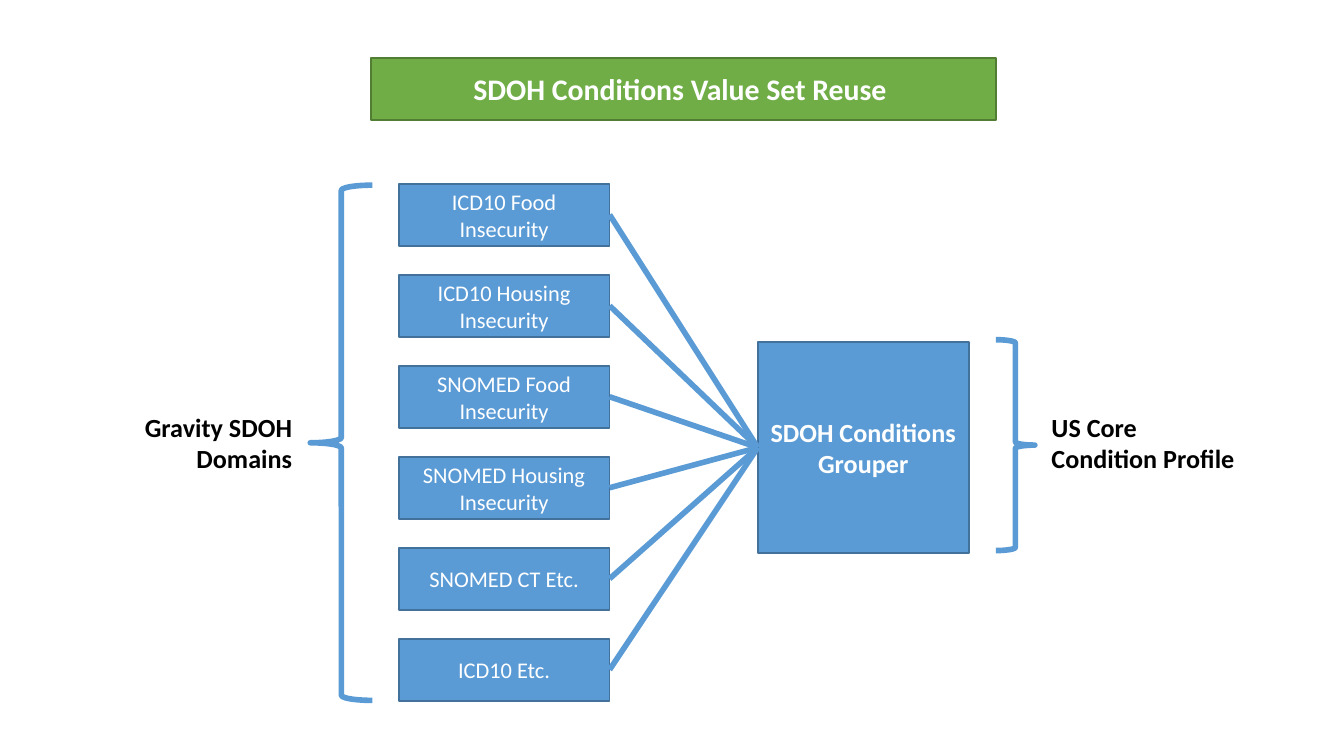
from pptx import Presentation
from pptx.dml.color import RGBColor
from pptx.enum import shapes, text
from pptx.oxml import xmlchemy
from pptx.util import Pt

BLUE, EDGE, GREEN, MOSS = "5B9BD5", "42719B", "70AD47", "517E33"
WHITE, BLACK = "FFFFFF", "000000"
KIND = shapes.MSO_SHAPE
ALIGN = text.PP_ALIGN


def tint(value):
    return RGBColor.from_string(value)


class Board:
    """Holds the shared style and the slide being drawn."""
    font = "Calibri"
    frame = {
        "word_wrap": True,
        "auto_size": text.MSO_AUTO_SIZE.NONE,
        "vertical_anchor": text.MSO_ANCHOR.MIDDLE,
        "margin_left": Pt(5.3), "margin_right": Pt(5.3),
        "margin_top": Pt(2.65), "margin_bottom": Pt(2.65),
    }

    def __init__(self, slide):
        self.slide = slide

    def letter(self, shape, words, size, color=WHITE, bold=False,
               align=ALIGN.CENTER):
        for name, value in self.frame.items():
            setattr(shape.text_frame, name, value)
        para = shape.text_frame.paragraphs[0]
        para.alignment = align
        run = para.add_run()
        run.text = words
        look = {"name": self.font, "size": Pt(size), "bold": bold}
        for name, value in look.items():
            setattr(run.font, name, value)
        run.font.color.rgb = tint(color)

    def paint(self, shape, fill, edge):
        shape.fill.solid()
        shape.fill.fore_color.rgb = tint(fill)
        self.stroke(shape, edge, 1)

    def stroke(self, shape, color, width):
        shape.line.color.rgb = tint(color)
        shape.line.width = Pt(width)

    def title(self, words, *area):
        head = self.slide.shapes.title
        for name, value in zip(("left", "top", "width", "height"), area):
            setattr(head, name, Pt(value))
        self.paint(head, GREEN, MOSS)
        self.letter(head, words, 16, bold=True)

    def shape(self, kind, *area):
        item = self.slide.shapes.add_shape(kind, *map(Pt, area))
        item.shadow.inherit = False
        return item

    def box(self, words, size, *area, bold=False):
        item = self.shape(KIND.RECTANGLE, *area)
        self.paint(item, BLUE, EDGE)
        self.letter(item, words, size, bold=bold)
        return item

    def link(self, start, end):
        """Join the right side of start to the left side of end."""
        line = self.slide.shapes.add_connector(
            shapes.MSO_CONNECTOR.STRAIGHT, 0, 0, 0, 0)
        line.begin_connect(start, 3)
        line.end_connect(end, 1)
        self.stroke(line, BLUE, 3)
        props = line._element.spPr
        props.append(xmlchemy.OxmlElement("a:effectLst"))

    def brace(self, kind, *area):
        item = self.shape(kind, *area)
        item.fill.background()
        self.stroke(item, BLUE, 3)

    def label(self, words, align, *area):
        item = self.slide.shapes.add_textbox(*map(Pt, area))
        self.letter(item, words, 14, BLACK, True, align)


def main():
    deck = Presentation()
    deck.slide_width, deck.slide_height = Pt(720), Pt(405)
    board = Board(deck.slides.add_slide(deck.slide_layouts[5]))

    wide, high = 113, 33.3
    left, top, step = 213.6, 98.4, 48.75
    board.title("SDOH Conditions Value Set Reuse ", 198.7, 31, 335, high)

    group = board.box("SDOH Conditions Grouper", 14,
                      406, 183.3, wide, wide, bold=True)
    sets = ("ICD10 Food Insecurity", "ICD10 Housing Insecurity",
            "SNOMED Food Insecurity", "SNOMED Housing Insecurity",
            "SNOMED CT Etc.", "ICD10 Etc.")
    for row, words in enumerate(sets):
        item = board.box(words, 12, left, top + row * step, wide, high)
        board.link(item, group)

    board.brace(KIND.LEFT_BRACE, 166.2, 99.2, 33.3, 276)
    board.brace(KIND.RIGHT_BRACE, 533.5, 182, 20.9, wide)
    board.label("Gravity SDOH Domains", ALIGN.RIGHT, 48.9, 220.5, wide, high)
    board.label("US Core Condition Profile", ALIGN.LEFT,
                558, 220.5, wide, high)
    deck.save("out.pptx")


if __name__ == "__main__":
    main()
